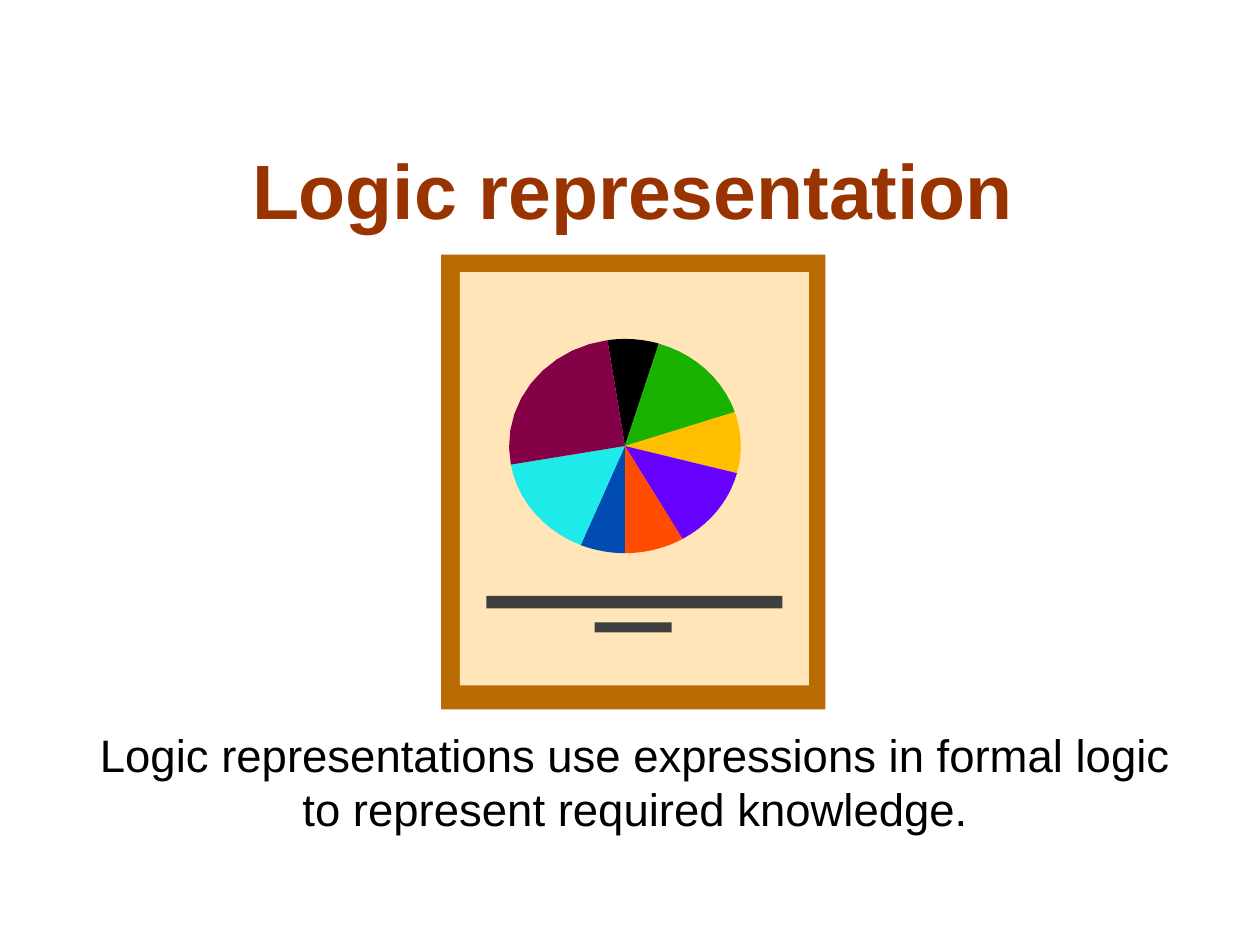
"""Builds the "Logic representation" slide with a framed pie poster."""
from math import cos, radians, sin

from pptx import Presentation
from pptx.dml.color import RGBColor
from pptx.enum.shapes import MSO_SHAPE
from pptx.enum.text import MSO_ANCHOR, PP_ALIGN
from pptx.util import Inches, Pt

RUST = RGBColor(0x99, 0x33, 0x00)
BLACK = RGBColor(0x00, 0x00, 0x00)
WOOD = RGBColor(0xB7, 0x6B, 0x00)
CREAM = RGBColor(0xFF, 0xE5, 0xB7)
CHARCOAL = RGBColor(0x3F, 0x3F, 0x3F)
GREEN = RGBColor(0x19, 0xB2, 0x00)
AMBER = RGBColor(0xFF, 0xBF, 0x00)
VIOLET = RGBColor(0x66, 0x00, 0xFF)
ORANGE = RGBColor(0xFF, 0x4C, 0x00)
BLUE = RGBColor(0x00, 0x4C, 0xB2)
CYAN = RGBColor(0x1E, 0xEA, 0xEA)
PLUM = RGBColor(0x84, 0x00, 0x47)

HEADING = "Logic representation"
STATEMENT = ("Logic representations use expressions in formal logic "
             "to represent required knowledge.")
HEADING_BOX = (0.8, 0.97, 8.45, 1.06)
STATEMENT_BOX = (0.51, 5.72, 9.07, 0.97)
HEADING_FONT = {"name": "Arial", "size": Pt(44), "bold": True}
STATEMENT_FONT = {"name": "Arial", "size": Pt(26), "bold": False}

POSTER = [
    ((3.5, 2.02, 3.05, 3.61), WOOD),
    ((3.65, 2.16, 2.77, 3.28), CREAM),
    ((3.86, 4.73, 2.35, 0.1), CHARCOAL),
    ((4.72, 4.94, 0.61, 0.08), CHARCOAL),
]

PIE_CENTRE = (4.96, 3.54)
PIE_RADII = (0.92, 0.85)
PIE_START = -8.7
ARC_STEPS = 10
SLICES = [
    (17, BLACK), (71.5, GREEN), (104.7, AMBER), (150.2, VIOLET),
    (180, ORANGE), (202.4, BLUE), (260, CYAN), (351.3, PLUM),
]


def paint(shape, colour):
    shape.shadow.inherit = False
    shape.fill.solid()
    shape.fill.fore_color.rgb = colour
    shape.line.fill.background()


def rim_point(angle):
    (x, y), (rx, ry) = PIE_CENTRE, PIE_RADII
    return (Inches(x + rx * sin(radians(angle))),
            Inches(y - ry * cos(radians(angle))))


def add_slice(slide, start, end, colour):
    step = (end - start) / ARC_STEPS
    rim = [rim_point(start + step * i) for i in range(ARC_STEPS + 1)]
    builder = slide.shapes.build_freeform(*map(Inches, PIE_CENTRE))
    builder.add_line_segments(rim, close=True)
    paint(builder.convert_to_shape(), colour)


def write(frame, wording, font, colour, anchor):
    frame.word_wrap = True
    frame.vertical_anchor = anchor
    paragraph = frame.paragraphs[0]
    paragraph.alignment = PP_ALIGN.CENTER
    run = paragraph.add_run()
    run.text = wording
    run.font.color.rgb = colour
    for attribute, value in font.items():
        setattr(run.font, attribute, value)


def main():
    deck = Presentation()
    deck.slide_width, deck.slide_height = Inches(10), Inches(7.5)
    slide = deck.slides.add_slide(deck.slide_layouts[5])

    heading = slide.shapes.title
    for side, length in zip(("left", "top", "width", "height"), HEADING_BOX):
        setattr(heading, side, Inches(length))
    write(heading.text_frame, HEADING, HEADING_FONT, RUST, MSO_ANCHOR.MIDDLE)

    for box, colour in POSTER:
        panel = slide.shapes.add_shape(MSO_SHAPE.RECTANGLE, *map(Inches, box))
        paint(panel, colour)

    start = PIE_START
    for end, colour in SLICES:
        add_slice(slide, start, end, colour)
        start = end

    statement = slide.shapes.add_textbox(*map(Inches, STATEMENT_BOX))
    write(statement.text_frame, STATEMENT, STATEMENT_FONT, BLACK, MSO_ANCHOR.TOP)

    deck.save("out.pptx")


if __name__ == "__main__":
    main()
